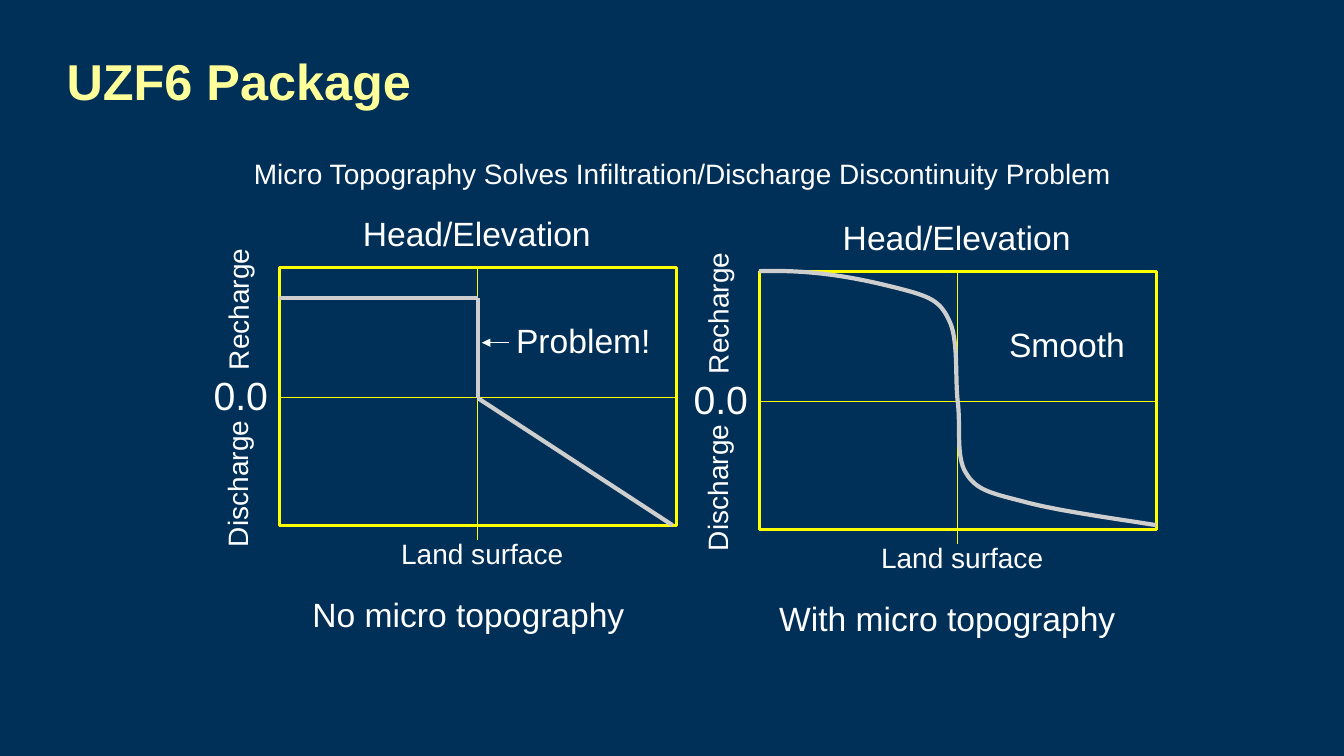
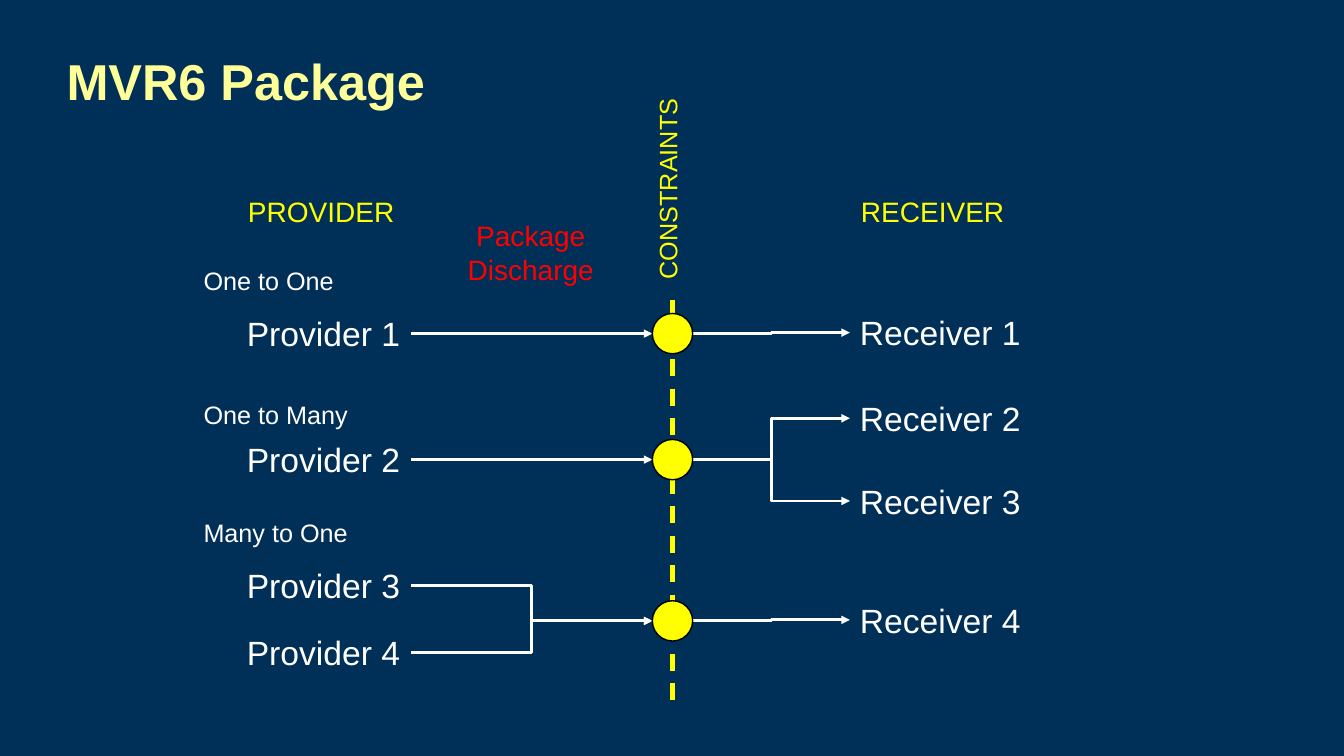
from lxml import etree
from pptx import Presentation
from pptx import util as u
from pptx.dml.color import RGBColor
from pptx.enum import dml, shapes, text
from pptx.oxml.ns import qn

PX = 9144
NAVY, YELLOW, PALE_YELLOW = "002F57", "FFFF00", "FFFF99"
WHITE, SILVER, RED, BLACK = "FFFFFF", "CECECE", "FF0000", "000000"
FONT = "Arial"
CENTER = text.PP_ALIGN.CENTER
STRAIGHT, ELBOW = shapes.MSO_CONNECTOR.STRAIGHT, shapes.MSO_CONNECTOR.ELBOW

TITLE_BOX = dict(left=56, top=17, width=1211, height=125)
PANEL_WIDTH, PANEL_HEIGHT = 394, 256
SURFACE, ZERO = PANEL_WIDTH // 2, 129

PANEL_LABELS = [
    ("Head/Elevation", 73, -59, 249, 50, 24, 0),
    ("Land surface", 111, 262, 182, 44, 20, 0),
    ("Discharge", -115, 192, 147, 44, 20, 270),
    ("Recharge", -112, 19, 142, 44, 20, 270),
    ("0.0", -75, 98, 75, 57, 28, 0),
]
SMOOTH_START = (753, 269)
SMOOTH_CURVES = [
    [(813, 267), (859, 278), (891, 286)],
    [(922, 294), (932, 298), (941, 317)],
    [(951, 336), (947, 373), (950, 399)],
    [(953, 424), (948, 453), (958, 469)],
    [(968, 486), (982, 489), (1013, 497)],
    [(1045, 506), (1096, 513), (1147, 521)],
]

PROVIDER_LEFT, PROVIDER_EDGE = 235, 408
RECEIVER_LEFT = 843
HUB_X, HUB_SIZE = 667, 40
HALF_LABEL = 25
FLOWS = [
    ("One to One", 258, 331, [("Provider 1", 306)], [("Receiver 1", 305)]),
    ("One to Many", 391, 456, [("Provider 2", 431)],
     [("Receiver 2", 390), ("Receiver 3", 472)]),
    ("Many to One", 508, 616, [("Provider 3", 556), ("Provider 4", 622)],
     [("Receiver 4", 590)]),
]


def rgb(color):
    return RGBColor.from_string(color)


def apply(target, **values):
    for name, value in values.items():
        setattr(target, name, value)


def style_font(font, size, color, bold=False):
    apply(font, name=FONT, size=u.Pt(size), bold=bold)
    font.color.rgb = rgb(color)


def style_line(line, color, width):
    line.color.rgb = rgb(color)
    line.width = u.Pt(width)


def add_title(slide, wording):
    title = slide.shapes.title
    apply(title, **{side: px * PX for side, px in TITLE_BOX.items()})
    apply(title.text_frame, text=wording,
          vertical_anchor=text.MSO_ANCHOR.MIDDLE)
    paragraph = title.text_frame.paragraphs[0]
    paragraph.alignment = text.PP_ALIGN.LEFT
    style_font(paragraph.runs[0].font, 36, PALE_YELLOW, True)


def add_label(slide, wording, left, top, width, height, size, color=WHITE,
              align=text.PP_ALIGN.LEFT, rotation=0, vert=None):
    label = slide.shapes.add_textbox(
        *(px * PX for px in (left, top, width, height)))
    label.rotation = rotation
    frame = label.text_frame
    apply(frame, text=wording, word_wrap=False,
          auto_size=text.MSO_AUTO_SIZE.SHAPE_TO_FIT_TEXT)
    if vert:
        frame._txBody.bodyPr.set("vert", vert)
    for paragraph in frame.paragraphs:
        paragraph.alignment = align
        style_font(paragraph.runs[0].font, size, color)


def add_line(slide, start, end, color, width, kind=STRAIGHT, arrow=False,
             dash=None):
    connector = slide.shapes.add_connector(
        kind, *(px * PX for px in (*start, *end)))
    style_line(connector.line, color, width)
    if dash:
        connector.line.dash_style = dash
    properties = connector._element.spPr
    if arrow:
        etree.SubElement(properties.find(qn("a:ln")), qn("a:tailEnd"),
                         type="triangle")
    etree.SubElement(properties, qn("a:effectLst"))


def add_outline(slide, preset, left, top, width, height, color, weight,
                fill=None):
    outline = slide.shapes.add_shape(
        preset, *(px * PX for px in (left, top, width, height)))
    outline.shadow.inherit = False
    style_line(outline.line, color, weight)
    if fill:
        outline.fill.solid()
        outline.fill.fore_color.rgb = rgb(fill)
    else:
        outline.fill.background()


def bezier_points(start, curves, steps=16):
    for first, second, end in curves:
        for step in range(1, steps + 1):
            t = step / steps
            weights = ((1 - t) ** 3, 3 * t * (1 - t) ** 2,
                       3 * t * t * (1 - t), t ** 3)
            yield tuple(
                round(PX * sum(w * c for w, c in zip(weights, axis)))
                for axis in zip(start, first, second, end))
        start = end


def add_curve(slide, start, curves, color, width):
    builder = slide.shapes.build_freeform(*(px * PX for px in start))
    builder.add_line_segments(bezier_points(start, curves), close=False)
    curve = builder.convert_to_shape()
    curve.shadow.inherit = False
    curve.fill.background()
    style_line(curve.line, color, width)


def add_panel(slide, left, top):
    add_outline(slide, shapes.MSO_SHAPE.RECTANGLE, left, top, PANEL_WIDTH,
                PANEL_HEIGHT, YELLOW, 2.25)
    for wording, dx, dy, width, height, size, rotation in PANEL_LABELS:
        add_label(slide, wording, left + dx, top + dy, width, height, size,
                  rotation=rotation)
    add_line(slide, (left + SURFACE, top), (left + SURFACE, top + 271),
             YELLOW, 0.75)
    add_line(slide, (left, top + ZERO), (left + PANEL_WIDTH, top + ZERO),
             YELLOW, 0.75)


def build_topography(slide):
    add_title(slide, "UZF6 Package")
    add_label(slide, "Micro Topography Solves Infiltration/Discharge "
              "Discontinuity Problem", 242, 150, 877, 44, 20)

    add_panel(slide, 277, 265)
    steps = [(277, 296), (474, 296), (474, 395), (667, 521)]
    for start, end in zip(steps, steps[1:]):
        add_line(slide, start, end, SILVER, 3)
    add_label(slide, "Problem!", 502, 312, 155, 50, 24)
    add_line(slide, (505, 340), (478, 340), WHITE, 0.75, arrow=True)
    add_label(slide, "No micro topography", 300, 584, 342, 50, 24)

    add_panel(slide, *SMOOTH_START)
    add_label(slide, "Smooth", 991, 316, 136, 50, 24)
    add_label(slide, "With micro topography", 763, 588, 366, 50, 24)
    add_curve(slide, SMOOTH_START, SMOOTH_CURVES, SILVER, 3)


def add_flow(slide, heading, heading_top, hub_y, providers, receivers):
    radius = HUB_SIZE // 2
    add_label(slide, heading, 192, heading_top, 165, 40, 18)
    for name, top in providers:
        add_label(slide, name, PROVIDER_LEFT, top, 174, 50, 24)
        add_line(slide, (PROVIDER_EDGE, top + HALF_LABEL),
                 (HUB_X - radius, hub_y), WHITE, 2, ELBOW, True)
    for name, top in receivers:
        add_label(slide, name, RECEIVER_LEFT, top, 181, 50, 24)
        add_line(slide, (HUB_X + radius, hub_y),
                 (RECEIVER_LEFT, top + HALF_LABEL), WHITE, 2, ELBOW, True)
    add_outline(slide, shapes.MSO_SHAPE.OVAL, HUB_X - radius, hub_y - radius,
                HUB_SIZE, HUB_SIZE, BLACK, 1, YELLOW)


def build_mover(slide):
    add_title(slide, "MVR6 Package")
    add_line(slide, (HUB_X, 298), (HUB_X, 698), YELLOW, 3,
             dash=dml.MSO_LINE.DASH)
    add_label(slide, "PROVIDER", 235, 188, 167, 44, 20, YELLOW, CENTER)
    add_label(slide, "RECEIVER", 843, 188, 164, 44, 20, YELLOW, CENTER)
    add_label(slide, "CONSTRAINTS", 642, 92, 50, 191, 18, YELLOW, CENTER,
              vert="vert270")
    add_label(slide, "Package\nDischarge", 453, 212, 147, 77, 20, RED, CENTER)
    for flow in FLOWS:
        add_flow(slide, *flow)


def main():
    deck = Presentation()
    apply(deck, slide_width=1333 * PX, slide_height=750 * PX)
    backdrop = deck.slide_master.background.fill
    backdrop.solid()
    backdrop.fore_color.rgb = rgb(NAVY)
    title_only = deck.slide_layouts[5]
    for build in (build_topography, build_mover):
        build(deck.slides.add_slide(title_only))
    deck.save("out.pptx")


if __name__ == "__main__":
    main()
